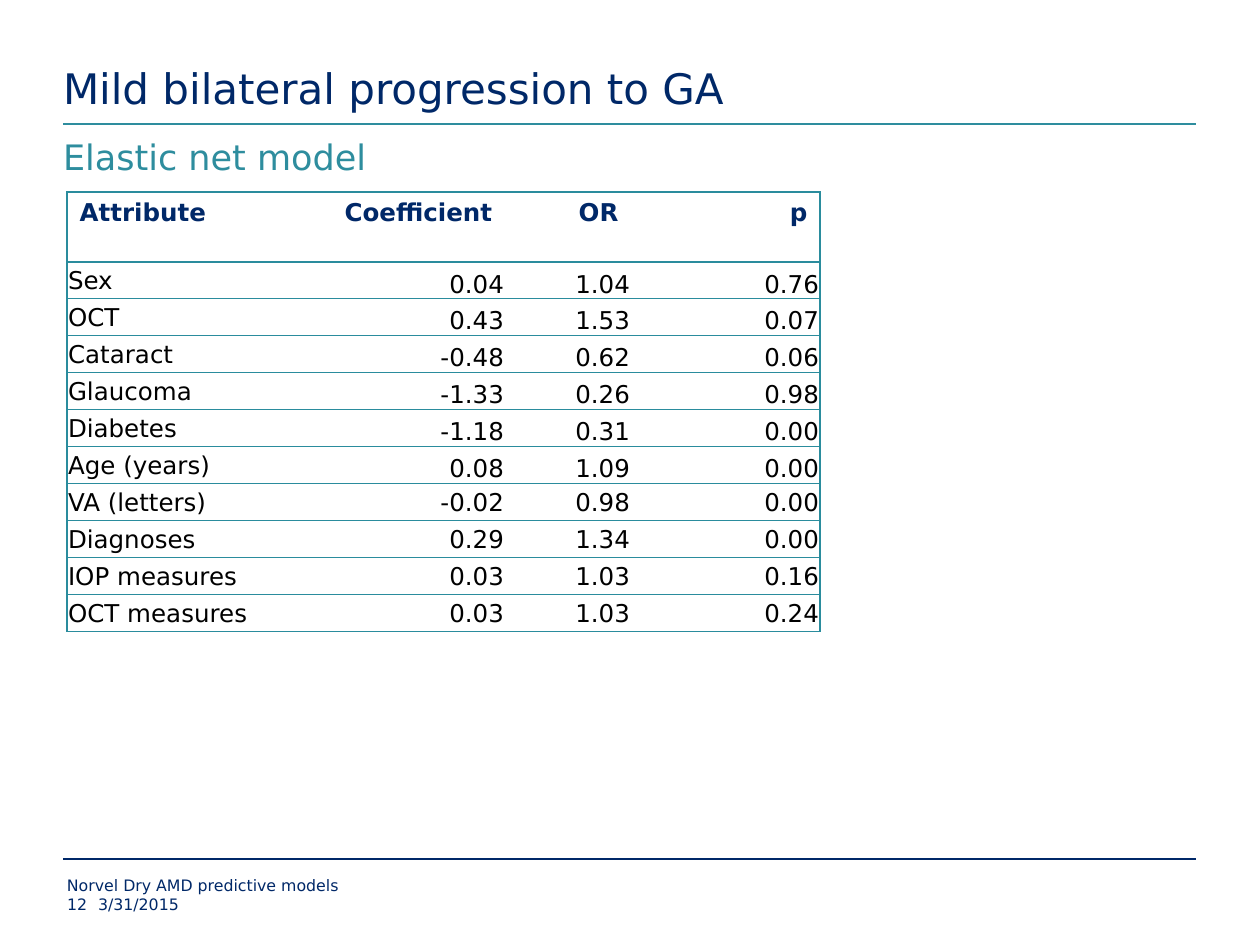
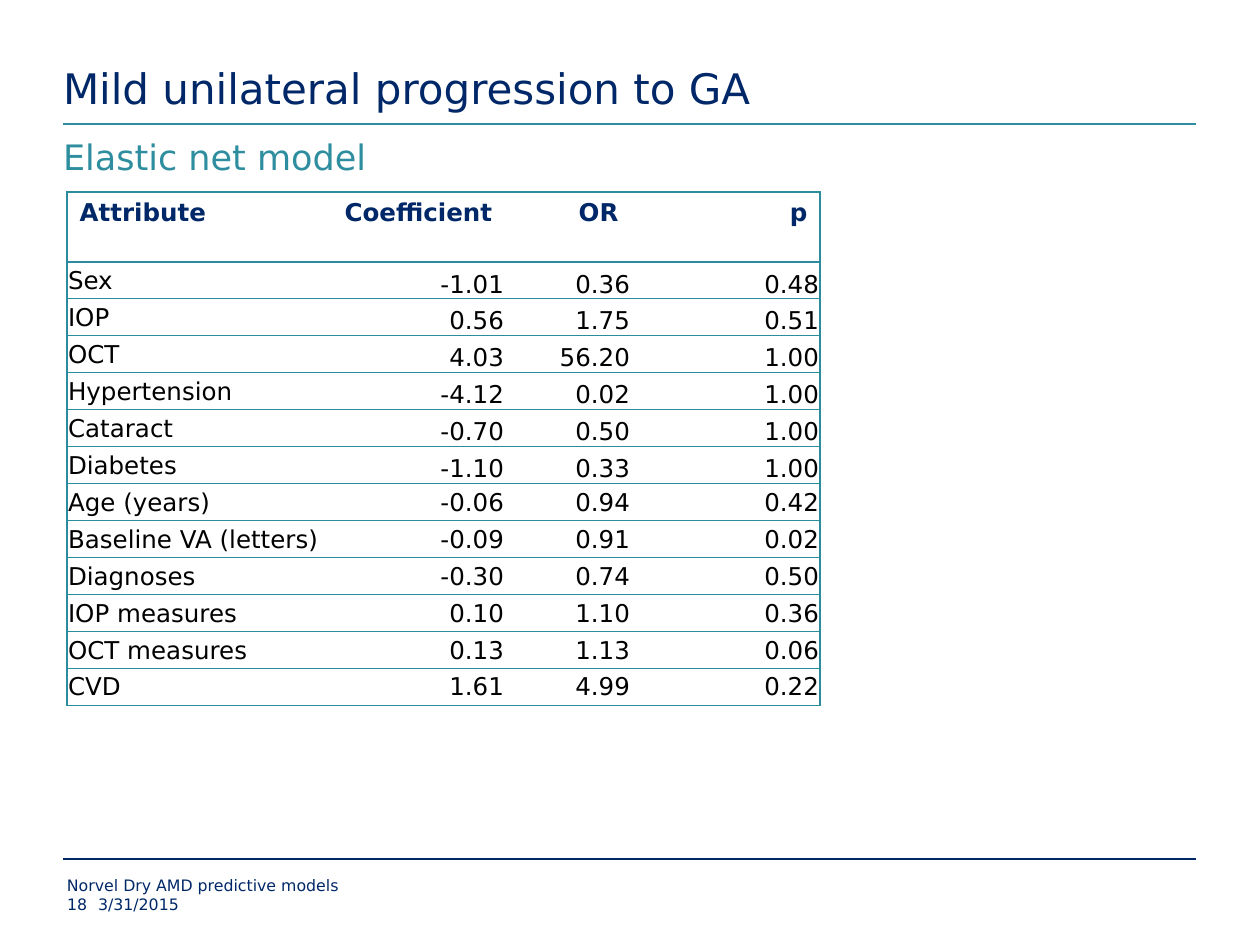
from dataclasses import dataclass

from lxml import etree
from pptx import Presentation
from pptx.dml.color import RGBColor
from pptx.enum.shapes import MSO_CONNECTOR
from pptx.enum.text import MSO_ANCHOR, MSO_AUTO_SIZE, PP_ALIGN
from pptx.oxml.ns import qn
from pptx.util import Emu, Pt

LEFT, RIGHT = PP_ALIGN.LEFT, PP_ALIGN.RIGHT
TOP, MIDDLE, BOTTOM = MSO_ANCHOR.TOP, MSO_ANCHOR.MIDDLE, MSO_ANCHOR.BOTTOM
NO_AUTOFIT = MSO_AUTO_SIZE.NONE
STRAIGHT = MSO_CONNECTOR.STRAIGHT
EMU_PER_PX = 914400 / 126


@dataclass(frozen=True)
class Theme:
    """Colours, font and type sizes shared by the slides."""
    navy: str = "002868"
    teal: str = "2E8D9E"
    border: str = "2A8C9D"
    black: str = "000000"
    white: str = "FFFFFF"
    font: str = "DejaVu Sans"
    title_size: int = 24
    subtitle_size: int = 20
    table_size: int = 14
    footer_size: int = 9
    rule_width: float = 1.5
    border_width: float = 0.75


THEME = Theme()
SLIDE_SIZE = (1260, 945)
TITLE_BOX = (63, 0, 1134, 113)
SUBTITLE_BOX = (63, 135, 1134, 62)
TABLE_ORIGIN = (67, 192)
FOOTER_BOX = (67, 876, 945, 19)
RULE_SPAN = (63, 1196)
TITLE_RULE_Y, FOOTER_RULE_Y = 124, 859

COLUMN_WIDTHS = (259, 179, 126, 189)
HEADER_HEIGHT, ROW_HEIGHT = 70, 37
BOTTOM_ANCHORED_ROWS = 6

SUBTITLE = "Elastic net model"
FOOTER = "Norvel Dry AMD predictive models"
DATE = "3/31/2015"
HEADINGS = ("Attribute", "Coefficient", "OR", "p")
BILATERAL_ROWS = (
    ("Sex", "0.04", "1.04", "0.76"),
    ("OCT", "0.43", "1.53", "0.07"),
    ("Cataract", "-0.48", "0.62", "0.06"),
    ("Glaucoma", "-1.33", "0.26", "0.98"),
    ("Diabetes", "-1.18", "0.31", "0.00"),
    ("Age (years)", "0.08", "1.09", "0.00"),
    ("VA (letters)", "-0.02", "0.98", "0.00"),
    ("Diagnoses", "0.29", "1.34", "0.00"),
    ("IOP measures", "0.03", "1.03", "0.16"),
    ("OCT measures", "0.03", "1.03", "0.24"),
)
UNILATERAL_ROWS = (
    ("Sex", "-1.01", "0.36", "0.48"),
    ("IOP", "0.56", "1.75", "0.51"),
    ("OCT", "4.03", "56.20", "1.00"),
    ("Hypertension", "-4.12", "0.02", "1.00"),
    ("Cataract", "-0.70", "0.50", "1.00"),
    ("Diabetes", "-1.10", "0.33", "1.00"),
    ("Age (years)", "-0.06", "0.94", "0.42"),
    ("Baseline VA (letters)", "-0.09", "0.91", "0.02"),
    ("Diagnoses", "-0.30", "0.74", "0.50"),
    ("IOP measures", "0.10", "1.10", "0.36"),
    ("OCT measures", "0.13", "1.13", "0.06"),
    ("CVD", "1.61", "4.99", "0.22"),
)
SLIDES = (
    ("Mild bilateral progression to GA", "12", BILATERAL_ROWS),
    ("Mild unilateral progression to GA", "18", UNILATERAL_ROWS),
)


def px(length):
    """Convert px to EMU."""
    return Emu(round(length * EMU_PER_PX))


def set_text(text_frame, text, size, color, bold=False, align=LEFT):
    """Fill a text frame with one formatted paragraph."""
    text_frame.text = text
    paragraph = text_frame.paragraphs[0]
    paragraph.alignment = align
    paragraph.space_before = Pt(0)
    font = paragraph.runs[0].font
    font.name = THEME.font
    font.size = Pt(size)
    font.bold = bold
    font.color.rgb = RGBColor.from_string(color)


def place_text(shape, box, text, size, color, anchor=TOP):
    """Place a text shape in its box, without insets, and fill it."""
    shape.left, shape.top, shape.width, shape.height = map(px, box)
    text_frame = shape.text_frame
    text_frame.margin_left = text_frame.margin_right = 0
    text_frame.margin_top = text_frame.margin_bottom = 0
    text_frame.word_wrap = True
    text_frame.auto_size = NO_AUTOFIT
    text_frame.vertical_anchor = anchor
    set_text(text_frame, text, size, color)


def add_rule(slide, y, color):
    """Draw a horizontal rule across the content width."""
    start, end = map(px, RULE_SPAN)
    rule = slide.shapes.add_connector(STRAIGHT, start, px(y), end, px(y))
    rule.line.color.rgb = RGBColor.from_string(color)
    rule.line.width = Pt(THEME.rule_width)
    etree.SubElement(rule._element.spPr, qn("a:effectLst"))


def add_heading(slide, title):
    """Fill the title and subtitle placeholders and draw the title rule."""
    add_rule(slide, TITLE_RULE_Y, THEME.teal)
    place_text(slide.shapes.title, TITLE_BOX, title,
               THEME.title_size, THEME.navy, BOTTOM)
    body = slide.placeholders[1]
    place_text(body, SUBTITLE_BOX, SUBTITLE, THEME.subtitle_size, THEME.teal)
    properties = body.text_frame.paragraphs[0]._p.get_or_add_pPr()
    properties.set("marL", "0")
    properties.set("indent", "0")
    etree.SubElement(properties, qn("a:buNone"))


def add_footer(slide, box, number):
    """Draw the footer rule, deck name, slide number and date."""
    add_rule(slide, FOOTER_RULE_Y, THEME.navy)
    left, top, width, height = box
    number_width = 31
    second_line = top + height
    labels = (
        (FOOTER, (left, top, width, height)),
        (number, (left, second_line, number_width, height)),
        (DATE, (left + number_width, second_line, width - number_width, height)),
    )
    for text, label_box in labels:
        shape = slide.shapes.add_textbox(0, 0, 0, 0)
        place_text(shape, label_box, text, THEME.footer_size, THEME.navy)


def set_borders(cell, visible_sides):
    """Draw the named sides of a cell and clear the others."""
    properties = cell._tc.get_or_add_tcPr()
    for side in "LRTB":
        line = etree.SubElement(properties, qn(f"a:ln{side}"))
        line.set("w", str(Pt(THEME.border_width)))
        if side in visible_sides:
            fill = etree.SubElement(line, qn("a:solidFill"))
            etree.SubElement(fill, qn("a:srgbClr")).set("val", THEME.border)
        else:
            etree.SubElement(line, qn("a:noFill"))


def format_cell(cell, text, row, column):
    """Fill and format a cell according to its place in the table."""
    is_header = row == 0
    sides = "TB"
    if column == 0:
        sides += "L"
    if column == len(HEADINGS) - 1:
        sides += "R"
    set_borders(cell, sides)
    cell.fill.solid()
    cell.fill.fore_color.rgb = RGBColor.from_string(THEME.white)
    if is_header:
        cell.vertical_anchor = TOP
    else:
        cell.margin_left = cell.margin_right = cell.margin_top = px(1)
        cell.margin_bottom = 0
        at_bottom = column > 0 and row <= BOTTOM_ANCHORED_ROWS
        cell.vertical_anchor = BOTTOM if at_bottom else MIDDLE
    set_text(cell.text_frame, text, THEME.table_size,
             THEME.navy if is_header else THEME.black,
             bold=is_header, align=RIGHT if column else LEFT)


def add_model_table(slide, origin, rows):
    """Build the table of model coefficients from its top left corner."""
    left, top = origin
    height = HEADER_HEIGHT + ROW_HEIGHT * len(rows)
    frame = slide.shapes.add_table(
        len(rows) + 1, len(HEADINGS),
        px(left), px(top), px(sum(COLUMN_WIDTHS)), px(height))
    table = frame.table
    table.first_row = table.horz_banding = False
    for column, width in zip(table.columns, COLUMN_WIDTHS):
        column.width = px(width)
    for row_index, values in enumerate((HEADINGS, *rows)):
        table.rows[row_index].height = px(ROW_HEIGHT if row_index else HEADER_HEIGHT)
        for column_index, text in enumerate(values):
            cell = table.cell(row_index, column_index)
            format_cell(cell, text, row_index, column_index)


def add_model_slide(presentation, title, number, rows):
    """Add one slide with heading, footer and model table."""
    slide = presentation.slides.add_slide(presentation.slide_layouts[1])
    add_heading(slide, title)
    add_footer(slide, FOOTER_BOX, number)
    add_model_table(slide, TABLE_ORIGIN, rows)


def main():
    """Build and save the presentation."""
    presentation = Presentation()
    presentation.slide_width, presentation.slide_height = map(px, SLIDE_SIZE)
    for title, number, rows in SLIDES:
        add_model_slide(presentation, title, number, rows)
    presentation.save("out.pptx")


if __name__ == "__main__":
    main()
